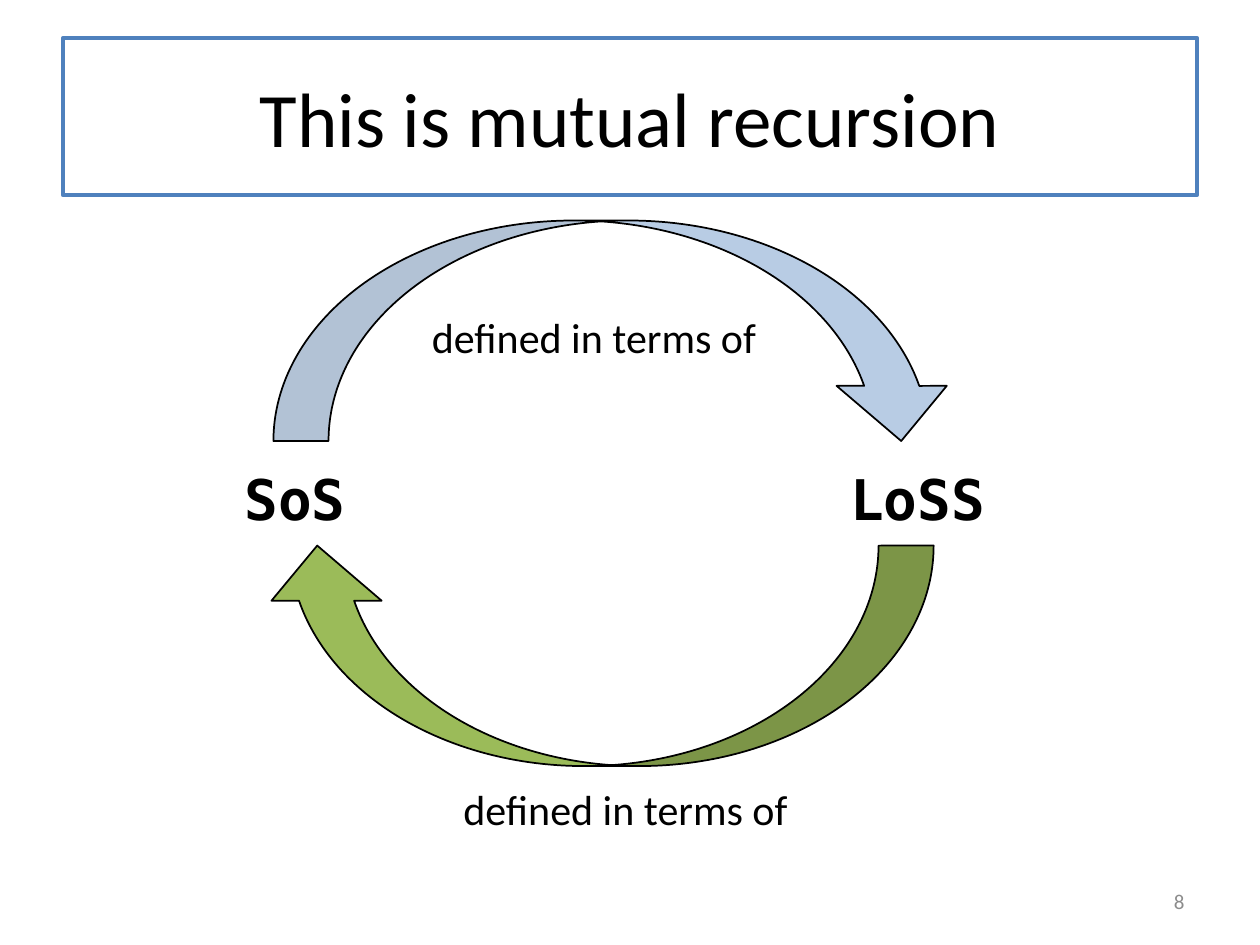
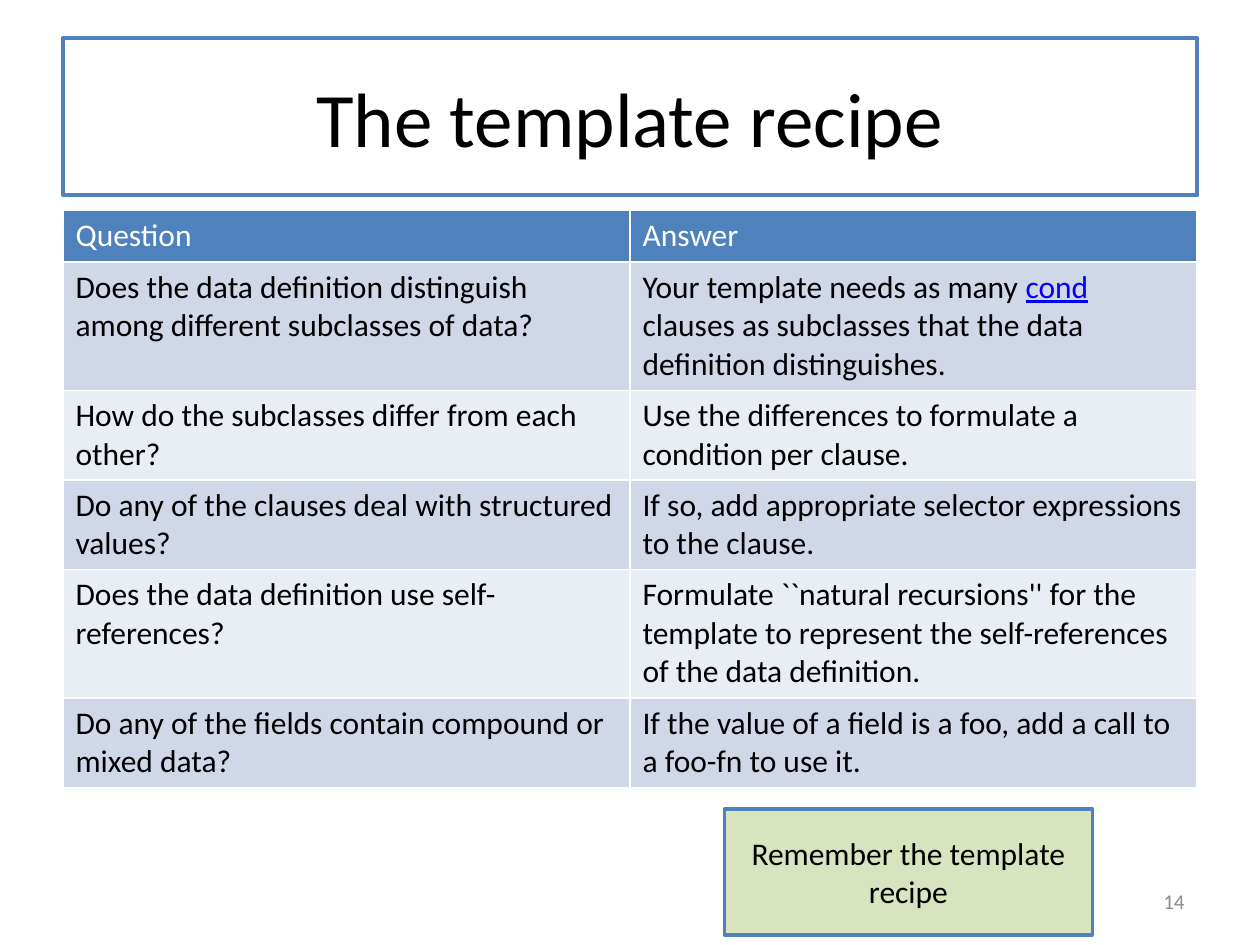
from dataclasses import dataclass

from lxml import etree
from pptx import Presentation
from pptx import util as u
from pptx.dml.color import RGBColor
from pptx.enum import shapes, text
from pptx.oxml.ns import qn

Inches, Pt = u.Inches, u.Pt


@dataclass(frozen=True)
class Theme:
    """Colours, fonts and type sizes shared by the slides."""
    white: str = "FFFFFF"
    black: str = "000000"
    blue: str = "4F81BD"
    green: str = "9BBB59"
    pale_green: str = "D7E4BD"
    bands: tuple = ("D0D8E8", "E9EDF4")
    link: str = "0000FF"
    gray: str = "8C8C8C"
    font: str = "Calibri"
    mono: str = "DejaVu Sans Mono"
    title: int = 44
    term: int = 32
    label: int = 24
    body: int = 18
    number: int = 12


THEME = Theme()
CENTER, RIGHT = text.PP_ALIGN.CENTER, text.PP_ALIGN.RIGHT
MIDDLE = text.MSO_ANCHOR.MIDDLE

RECIPE = [
    ("Question", "Answer"),
    ("Does the data definition distinguish among different subclasses of data?",
     ["Your template needs as many ", ("cond", {"color": THEME.link, "underline": True}),
      " clauses as subclasses that the data definition distinguishes."]),
    ("How do the subclasses differ from each other?",
     "Use the differences to formulate a condition per clause."),
    ("Do any of the clauses deal with structured values?",
     "If so, add appropriate selector expressions to the clause."),
    ("Does the data definition use self-references?",
     "Formulate ``natural recursions'' for the template to represent "
     "the self-references of the data definition."),
    ("Do any of the fields contain compound or mixed data?",
     "If the value of a field is a foo, add a call to a foo-fn to use it."),
]
ROW_HEIGHTS = (0.41, 1.02, 0.71, 0.71, 1.02, 0.71)


# Formatting helpers
def set_all(target, values):
    for name, value in values.items():
        setattr(target, name, value)


def place(shape, left, top, width, height):
    set_all(shape, {"left": Inches(left), "top": Inches(top),
                    "width": Inches(width), "height": Inches(height)})


def paint(shape, fill, line, width):
    shape.fill.solid()
    shape.fill.fore_color.rgb = RGBColor.from_string(fill)
    shape.line.color.rgb = RGBColor.from_string(line)
    shape.line.width = Pt(width)


def write(frame, content, size, color=THEME.black, align=None, **font_values):
    """Write one paragraph; content is a string or a list of runs."""
    paragraph = frame.paragraphs[0]
    paragraph.alignment = align
    for piece in [content] if isinstance(content, str) else content:
        words, special = (piece, {}) if isinstance(piece, str) else piece
        values = {"name": THEME.font, "size": Pt(size), "bold": False,
                  **font_values, **special}
        run = paragraph.add_run()
        run.text = words
        run.font.color.rgb = RGBColor.from_string(values.pop("color", color))
        set_all(run.font, values)
    return paragraph


# Elements shared by the slides
def add_slide(presentation, layout, title, number):
    slide = presentation.slides.add_slide(presentation.slide_layouts[layout])
    shape = slide.shapes.title
    place(shape, 0.5, 0.3, 9, 1.25)
    paint(shape, THEME.white, THEME.blue, 2.25)
    shape.text_frame.vertical_anchor = MIDDLE
    write(shape.text_frame, title, THEME.title, align=CENTER)
    add_text(slide, (7.17, 6.95, 2.33, 0.4), str(number), THEME.number,
             color=THEME.gray, align=RIGHT, anchor=MIDDLE)
    return slide


def add_text(slide, box, content, size, anchor=None, **values):
    shape = slide.shapes.add_textbox(*map(Inches, box))
    set_all(shape.text_frame, {"word_wrap": True, "vertical_anchor": anchor})
    write(shape.text_frame, content, size, **values)


def add_shape(slide, kind, box, fill, line, width):
    shape = slide.shapes.add_shape(kind, *map(Inches, box))
    shape.shadow.inherit = False
    paint(shape, fill, line, width)
    return shape


# Recursion diagram
def add_arrow(slide, box, fill, opacity=100, rotation=0):
    arrow = add_shape(slide, shapes.MSO_SHAPE.CURVED_DOWN_ARROW, box,
                      fill, THEME.black, 1)
    arrow.rotation = rotation
    if opacity < 100:
        color = arrow._element.spPr.find(qn("a:solidFill"))[0]
        etree.SubElement(color, qn("a:alpha"), val=str(opacity * 1000))


def add_terms(slide, left_term, right_term):
    """Put the left term in the body placeholder and the right one level with it."""
    top, width, height = 3.64, 1.6, 0.62
    style = {"name": THEME.mono, "bold": True}
    body = slide.placeholders[1]
    place(body, 1.84, top, width, height)
    body.text_frame.vertical_anchor = MIDDLE
    paragraph = write(body.text_frame, left_term, THEME.term, **style)
    paragraph.space_before = Pt(0)
    properties = paragraph._p.get_or_add_pPr()
    for name in ("marL", "indent"):
        properties.set(name, "0")
    etree.SubElement(properties, qn("a:buNone"))
    add_text(slide, (6.65, top, width, height), right_term, THEME.term,
             anchor=MIDDLE, **style)


# Recipe table
def set_borders(cell):
    properties = cell._tc.get_or_add_tcPr()
    for index, side in enumerate(("lnL", "lnR", "lnT", "lnB")):
        line = etree.Element(qn(f"a:{side}"), w=str(Pt(1)))
        fill = etree.SubElement(line, qn("a:solidFill"))
        etree.SubElement(fill, qn("a:srgbClr"), val=THEME.white)
        properties.insert(index, line)


def add_table(slide, rows, heights, left, top, width):
    table = slide.shapes.add_table(
        len(rows), len(rows[0]), Inches(left), Inches(top),
        Inches(width), Inches(sum(heights))).table
    for row_index, (row, height) in enumerate(zip(rows, heights)):
        table.rows[row_index].height = Inches(height)
        header = row_index == 0
        fill = THEME.blue if header else THEME.bands[(row_index - 1) % 2]
        for column_index, content in enumerate(row):
            cell = table.cell(row_index, column_index)
            cell.fill.solid()
            cell.fill.fore_color.rgb = RGBColor.from_string(fill)
            set_borders(cell)
            write(cell.text_frame, content, THEME.body,
                  color=THEME.white if header else THEME.black)


# Slides
def build_recursion(presentation):
    slide = add_slide(presentation, 1, "This is mutual recursion", 8)
    add_terms(slide, "SoS", "LoSS")
    add_arrow(slide, (2.17, 1.75, 5.42, 1.75), THEME.blue, opacity=40)
    add_arrow(slide, (2.08, 4.33, 5.33, 1.75), THEME.green, rotation=180)
    for left, top in ((3.33, 2.42), (3.58, 6.17)):
        add_text(slide, (left, top, 3, 0.5), "defined in terms of", THEME.label)


def build_recipe(presentation):
    slide = add_slide(presentation, 5, "The template recipe", 14)
    add_table(slide, RECIPE, ROW_HEIGHTS, 0.5, 1.67, 9)
    reminder = add_shape(slide, shapes.MSO_SHAPE.RECTANGLE, (5.75, 6.42, 2.92, 1),
                         THEME.pale_green, THEME.blue, 2)
    reminder.text_frame.vertical_anchor = MIDDLE
    write(reminder.text_frame, "Remember the template recipe", THEME.body, align=CENTER)


def main():
    presentation = Presentation()
    set_all(presentation, {"slide_width": Inches(10), "slide_height": Inches(7.5)})
    build_recursion(presentation)
    build_recipe(presentation)
    presentation.save("out.pptx")


main()
